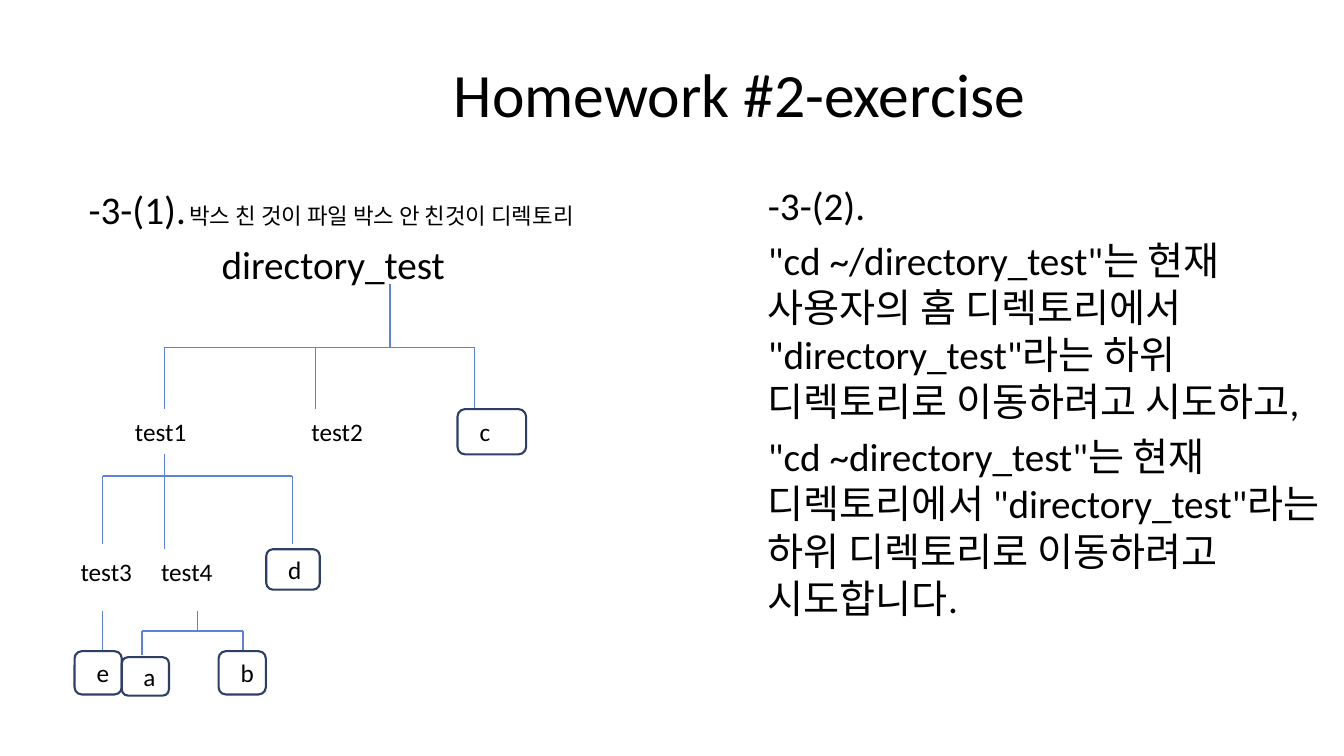
from lxml import etree
from pptx import Presentation
from pptx import util as u
from pptx.dml.color import RGBColor
from pptx.enum import shapes, text
from pptx.oxml import ns

FONT = "Calibri"
COLORS = {"text": "000000", "branch": "5E81D9", "file": "2E3E67"}

# Tree geometry in cm, relative to the tree's top left corner
# Branches: trunk x, trunk top, bar y, children as (x, bottom)
BRANCHES = [
    (7.95, 0, 1.6, [(2.26, 3.15), (6.07, 3.15), (10.08, 3.15)]),
    (2.26, 4.29, 4.83, [(0.71, 6.55), (2.26, 6.68), (5.49, 6.55)]),
    (0.71, 8.23, 9.25, []),
    (3.1, 8.23, 8.74, [(1.7, 9.35), (4.24, 9.25)]),
]
# Directories: name, left, top
DIRECTORIES = [("test1", 1.52, 3.15), ("test2", 5.97, 3.15),
               ("test3", 0.15, 6.68), ("test4", 2.18, 6.68)]
# Files: name, left, top, width, height
FILES = [
    ("c", 9.65, 3.15, 1.73, 1.14),
    ("d", 4.83, 6.68, 1.35, 1.02),
    ("e", 0, 9.25, 1.19, 1.09),
    ("a", 1.19, 9.4, 1.19, 0.97),
    ("b", 3.63, 9.25, 1.19, 1.09),
]


def color(name):
    return RGBColor.from_string(COLORS[name])


def format_run(run, size):
    run.font.name = FONT
    run.font.size = u.Pt(size)
    run.font.color.rgb = color("text")


def place(shape, box):
    shape.left, shape.top, shape.width, shape.height = [u.Cm(n) for n in box]


def add_title(slide, box, wording):
    title = slide.shapes.title
    place(title, box)
    title.text_frame.text = wording
    format_run(title.text_frame.paragraphs[0].runs[0], 44)


def fill_body(body, box, paragraphs):
    """Each paragraph is an indent in cm and a list of (wording, size)."""
    place(body, box)
    frame = body.text_frame
    frame.auto_size = text.MSO_AUTO_SIZE.NONE
    for index, (indent, runs) in enumerate(paragraphs):
        paragraph = frame.paragraphs[0] if index == 0 else frame.add_paragraph()
        for wording, size in runs:
            run = paragraph.add_run()
            run.text = wording
            format_run(run, size)
        properties = paragraph._p.get_or_add_pPr()
        properties.set("marL", str(u.Cm(indent)))
        properties.set("indent", "0")
        etree.SubElement(properties, ns.qn("a:buNone"))
        if len(runs) > 1:
            tabs = etree.SubElement(properties, ns.qn("a:tabLst"))
            etree.SubElement(tabs, ns.qn("a:tab"), pos=str(u.Cm(3.1)), algn="l")


def add_line(slide, x1, y1, x2, y2):
    line = slide.shapes.add_connector(
        shapes.MSO_CONNECTOR.STRAIGHT, u.Cm(x1), u.Cm(y1), u.Cm(x2), u.Cm(y2))
    line.line.color.rgb = color("branch")
    line.line.width = u.Pt(1)
    etree.SubElement(line._element.spPr, ns.qn("a:effectLst"))


def add_node_text(shape, name, inset):
    frame = shape.text_frame
    frame.text = name
    frame.word_wrap = True
    frame.vertical_anchor = text.MSO_ANCHOR.MIDDLE
    frame.margin_left = u.Cm(inset)
    frame.margin_right = frame.margin_top = frame.margin_bottom = 0
    frame.paragraphs[0].alignment = text.PP_ALIGN.LEFT
    format_run(frame.paragraphs[0].runs[0], 18)


def add_tree(slide, left, top):
    # Branch lines
    for trunk, start, bar, children in BRANCHES:
        add_line(slide, left + trunk, top + start, left + trunk, top + bar)
        if children:
            add_line(slide, left + children[0][0], top + bar,
                     left + children[-1][0], top + bar)
        for x, end in children:
            add_line(slide, left + x, top + bar, left + x, top + end)
    # Plain directory names
    for name, x, y in DIRECTORIES:
        label = slide.shapes.add_textbox(
            u.Cm(left + x), u.Cm(top + y), u.Cm(1.6), u.Cm(1.1))
        add_node_text(label, name, 0)
    # Boxed file names
    for name, x, y, width, height in FILES:
        file_box = slide.shapes.add_shape(
            shapes.MSO_SHAPE.ROUNDED_RECTANGLE, u.Cm(left + x), u.Cm(top + y),
            u.Cm(width), u.Cm(height))
        file_box.shadow.inherit = False
        file_box.fill.background()
        file_box.line.color.rgb = color("file")
        file_box.line.width = u.Pt(1.5)
        add_node_text(file_box, name, 0.5)


def main():
    presentation = Presentation()
    presentation.slide_width, presentation.slide_height = u.Cm(33.87), u.Cm(19.05)
    slide = presentation.slides.add_slide(presentation.slide_layouts[3])
    add_title(slide, (3.58, 0.76, 30.48, 3.18), "Homework #2-exercise ")

    # Answers: tree heading on the left, explanation on the right
    fill_body(slide.placeholders[1], (1.98, 4.55, 14.96, 12.57), [
        (0, [("-3-(1).\t", 28), ("박스 친 것이 파일 박스 안 친것이 디렉토리", 16)]),
        (3.35, [("directory_test", 28)]),
    ])
    fill_body(slide.placeholders[2], (19.1, 4.45, 14.96, 12.57), [
        (0, [("-3-(2).", 28)]),
        (0, [('"cd ~/directory_test"는 현재 사용자의 홈 디렉토리에서 '
              '"directory_test"라는 하위 디렉토리로 이동하려고 시도하고,', 28)]),
        (0, [('"cd ~directory_test"는 현재 디렉토리에서 '
              '"directory_test"라는 하위 디렉토리로 이동하려고 시도합니다.', 28)]),
    ])
    add_tree(slide, 1.88, 7.16)
    presentation.save("out.pptx")


if __name__ == "__main__":
    main()
